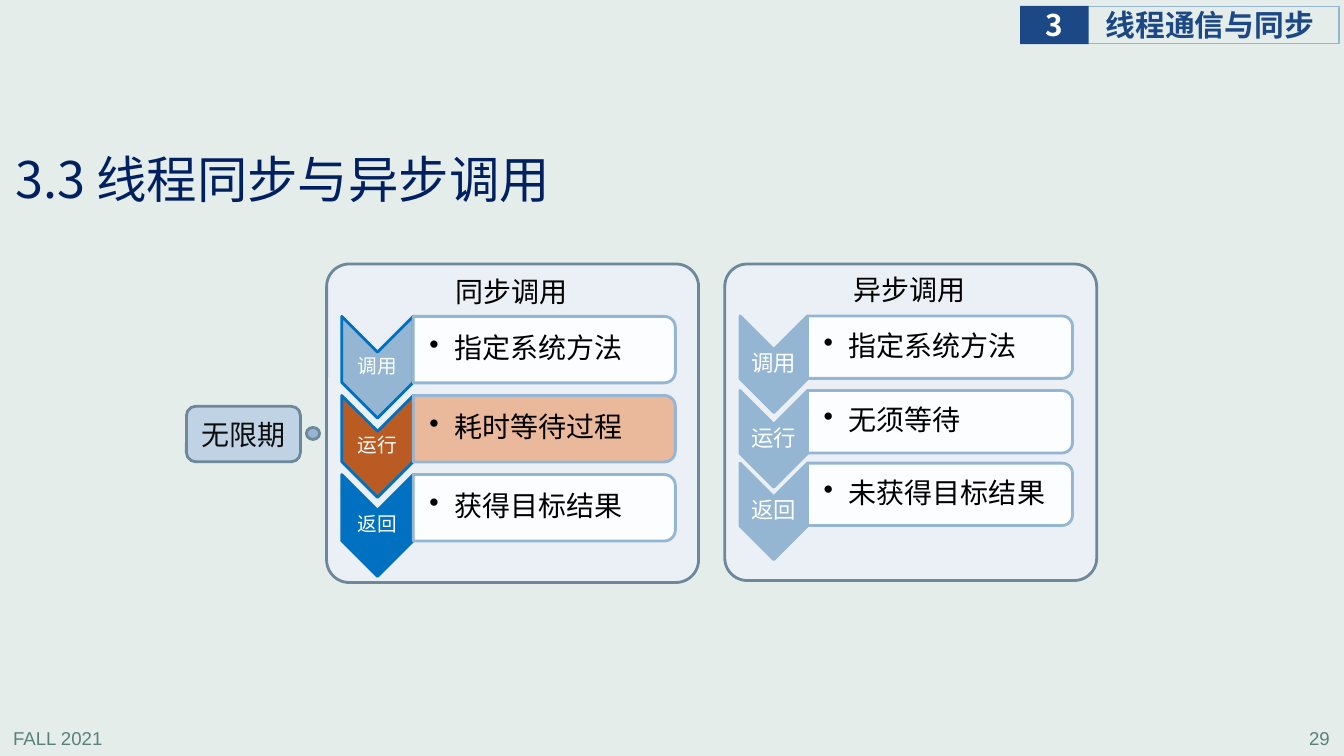
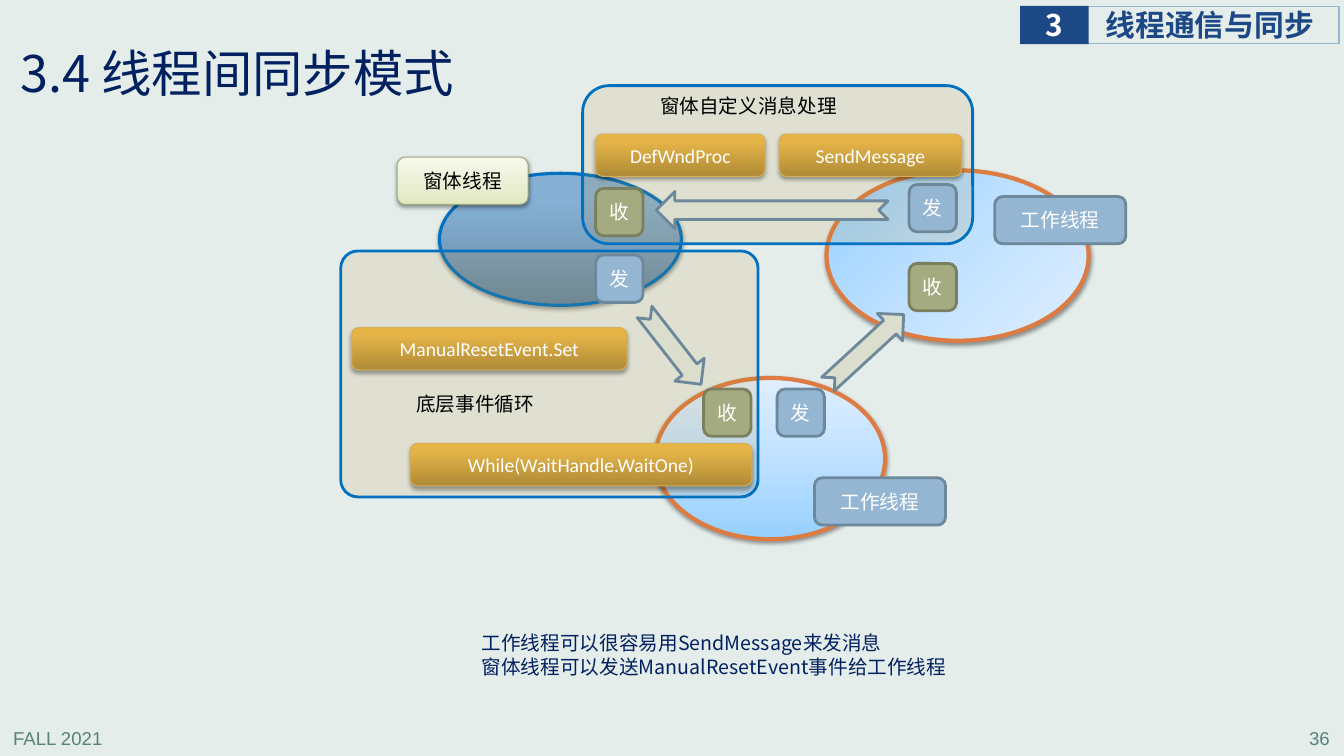
from lxml import etree
from pptx import Presentation
from pptx.dml.color import RGBColor
from pptx.enum import shapes, text
from pptx.oxml import parse_xml
from pptx.oxml.ns import nsdecls, qn
from pptx.util import Pt

SHAPE = shapes.MSO_SHAPE
ROUND = SHAPE.ROUNDED_RECTANGLE
MID = text.MSO_ANCHOR.MIDDLE
LEFT, RIGHT, CENTER = text.PP_ALIGN.LEFT, text.PP_ALIGN.RIGHT, text.PP_ALIGN.CENTER
HAN = "Noto Sans CJK SC"
NAVY, BLUE, SKY, SLATE, WHITE, BLACK = "002060", "1C4885", "94B6D2", "6D879B", "FFFFFF", "000000"

UP = '<a:lin ang="16200000" scaled="0"/>'
SPOT = '<a:path path="circle"><a:fillToRect r="100000" b="100000"/></a:path>'
ICE = [(0, "96D0FF"), (50, "BFE1FF"), (100, "E0EFFF")]
SOFT, DEEP = (38, 1.6), (35, 1.8)

STEEL = dict(fill=SKY, line=SLATE, wide=2)
OLIVE = dict(fill="A5AB81", line="7A7F5F", wide=2)
ARROW = dict(fill="DBDDCD", line=SLATE, wide=2)
PANEL = dict(fill="EAF0F6", line=SLATE, wide=2)
ZONE = dict(fill="BA8F2D", alpha=13, line="0070C0", wide=2)
GOLD = dict(grad=[(0, "AF8A37"), (80, "E3B347"), (100, "E7B544")], line="D6AF57", wide=0.75, shade=DEEP)
CREAM = dict(grad=[(0, "E1E8BF"), (35, "E9EED2"), (100, "F7F9ED")], line="A2A87D", wide=0.75, shade=SOFT)
DUSK = dict(grad=[(0, "6788A4"), (80, "86B1D4"), (100, "86B2D7")], line="0070C0", wide=2.25, shade=DEEP)
LAKE = dict(grad=ICE, line="DC7C42", wide=3, shade=SOFT)
GLOW = dict(LAKE, way=SPOT)

ZERO = dict(margin_left=0, margin_right=0, margin_top=0, margin_bottom=0)
SLIM = dict(dict.fromkeys(ZERO, Pt(0.7)), vertical_anchor=MID)
INSET = dict(SLIM, margin_left=Pt(11.5))
HEAD = dict(margin_left=Pt(5.8), margin_right=Pt(5.8), margin_top=Pt(2.9), margin_bottom=Pt(2.9), vertical_anchor=MID)
FREE = dict(word_wrap=False)
TIGHT = dict(line_spacing=0.9)


def paint(fill, tone):
    if tone:
        fill.solid()
        fill.fore_color.rgb = RGBColor.from_string(tone)
    else:
        fill.background()


def box(page, kind, at, words="", tone=WHITE, size=14, name=HAN, bold=False,
        look={}, frame={}, para={}, side=None, turn=0, adj=None, dot=False):
    at = [Pt(n) for n in at]
    if kind is None:
        item = page.shapes.add_textbox(*at)
        item.text_frame.word_wrap = True
    else:
        item = page.shapes.add_shape(kind, *at)
        item.shadow.inherit = False
        item.rotation = turn
        if adj:
            item.adjustments[0] = adj
        props = item._element.spPr
        paint(item.fill, look.get("fill"))
        if "alpha" in look:
            etree.SubElement(props.find(qn("a:solidFill"))[0], qn("a:alpha"), val=str(look["alpha"] * 1000))
        if "grad" in look:
            item.fill.gradient()
            stops = "".join(f'<a:gs pos="{p * 1000}"><a:srgbClr val="{c}"/></a:gs>' for p, c in look["grad"])
            props.replace(props.find(qn("a:gradFill")), parse_xml(
                f'<a:gradFill {nsdecls("a")} rotWithShape="1"><a:gsLst>{stops}</a:gsLst>{look.get("way", UP)}</a:gradFill>'))
        paint(item.line.fill, look.get("line"))
        if "wide" in look:
            item.line.width = Pt(look["wide"])
        if "shade" in look:
            dense, drop = look["shade"]
            props.find(qn("a:effectLst")).append(parse_xml(
                f'<a:outerShdw {nsdecls("a")} blurRad="{Pt(3.1)}" dist="{Pt(drop)}" dir="5400000" rotWithShape="0">'
                f'<a:srgbClr val="{BLACK}"><a:alpha val="{dense * 1000}"/></a:srgbClr></a:outerShdw>'))
    if not words:
        return
    body = item.text_frame
    for key, val in frame.items():
        setattr(body, key, val)
    body.text = words
    if side is None:
        side = LEFT if kind is None else CENTER
    for par in body.paragraphs:
        for key, val in dict(para, alignment=side).items():
            setattr(par, key, val)
        if dot:
            form = par._p.get_or_add_pPr()
            form.set("marL", str(Pt(18)))
            form.set("indent", str(Pt(-18)))
            etree.SubElement(form, qn("a:buChar"), char="•")
        for run in par.runs:
            for key, val in dict(name=name, size=Pt(size), bold=bold).items():
                setattr(run.font, key, val)
            paint(run.font.fill, tone)
            if name != "Arial":
                run.font._element.find(qn("a:latin")).addnext(
                    parse_xml(f'<a:ea {nsdecls("a")} typeface="{HAN}"/>'))


deck = Presentation()
deck.slide_width, deck.slide_height = Pt(960), Pt(540)
paint(deck.slide_master.background.fill, "E5EDEB")

pages = []
for num, title, spot in [
    ("29", "3.3 线程同步与异步调用", (5, 102.2, 447, 56.2)),
    ("36", "3.4 线程间同步模式", (8.6, 28, 343.4, 53.3)),
]:
    page = deck.slides.add_slide(deck.slide_layouts[6])
    pages.append(page)
    for left, words, side in [(2.2, "FALL 2021", LEFT), (756.7, num, RIGHT)]:
        box(page, None, (left, 515.5, 200.2, 22.3), words, "578279", 13.3, "Arial", side=side)
    box(page, SHAPE.RECTANGLE, (776.5, 4.8, 180, 26), " 线程通信与同步", BLUE, 21.3, bold=True,
        look=dict(line=SKY, wide=0.75), frame=dict(ZERO, margin_left=Pt(8.6)), side=LEFT)
    box(page, SHAPE.RECTANGLE, (728.6, 4.3, 49, 27.2), "3", WHITE, 21.3, bold=True,
        look=dict(fill=BLUE), frame=dict(ZERO, **FREE))
    if num == "29":
        box(page, None, spot, title, NAVY, 36, frame=HEAD, para=TIGHT)

calls, modes = pages

for panel, name, label, left, wide, high, tops, card, edge, size, font, rows in [
    ((517.7, 188.6, 265.7, 226.1), "异步调用", (602.6, 190.8), 528.6, 48.2, 69, (225.7, 279, 330.8),
     (189.3, 44.6), SKY, 16, "Calibri",
     [("调用", "指定系统方法", SKY, WHITE), ("运行", "无须等待", SKY, WHITE), ("返回", "未获得目标结果", SKY, WHITE)]),
    ((233.3, 188.6, 265.7, 227.5), "同步调用", (318.2, 192.2), 244.1, 51.1, 72.7, (226, 282.5, 339),
     (187.2, 47.5), "0070C0", 14, HAN,
     [("调用", "指定系统方法", SKY, WHITE), ("运行", "耗时等待过程", "B95B22", "EBB391"),
      ("返回", "获得目标结果", "0070C0", WHITE)]),
]:
    box(calls, ROUND, panel, look=PANEL, adj=0.071)
    for top, (step, words, tint, back) in zip(tops, rows):
        swing = (high - wide) / 2
        box(calls, SHAPE.CHEVRON, (left - swing, top + swing, high, wide), turn=90,
            look=dict(fill=tint, line=edge, wide=2))
        box(calls, None, (left, top + high / 2 - 10.5, wide, 21), step, WHITE, size, font,
            frame=SLIM, para=TIGHT, side=CENTER)
        long, tall = card
        swing = (long - tall) / 2
        box(calls, SHAPE.ROUND_2_SAME_RECTANGLE, (left + wide + swing, top - swing, tall, long), turn=90,
            look=dict(fill=back, alpha=90, line=SKY, wide=2))
        box(calls, None, (left + wide, top + 2, long - 2, tall - 4), words, BLACK, 20,
            frame=INSET, para=TIGHT, dot=True)
    box(calls, None, (*label, 95, 31.7), name, BLACK, 20, frame=FREE)
box(calls, ROUND, (133.2, 290.2, 81.4, 39.6), "无限期", "0D0D0D", 20, look=dict(PANEL, fill="BFD3E4"))
box(calls, SHAPE.OVAL, (218.9, 305.3, 9.4, 8.6), look=STEEL)

for kind, at, look, adj in [
    (SHAPE.OVAL, (468, 270, 164.2, 115.2), LAKE, None),
    (SHAPE.OVAL, (313.9, 123.8, 172.8, 94.3), DUSK, None),
    (ROUND, (243.4, 179.3, 298.1, 175.7), ZONE, 0.07),
    (SHAPE.OVAL, (590.4, 121.7, 187.2, 121.7), GLOW, None),
    (ROUND, (416.2, 61.2, 278.6, 113), ZONE, None),
]:
    box(modes, kind, at, look=look, adj=adj)
box(modes, None, spot, title, NAVY, 36, frame=HEAD, para=TIGHT)

for at, turn in [
    ((468.7, 136.8, 165.6, 26.6), 180),
    ((581.8, 236.2, 73.4, 26.6), 317.4),
    ((447.8, 235.4, 65.5, 26.6), 52),
]:
    box(modes, SHAPE.NOTCHED_RIGHT_ARROW, at, look=ARROW, turn=turn)

for left, top, wide, words in [
    (556.6, 95.8, 130.3, "SendMessage"),
    (425.5, 95.8, 121, "DefWndProc"),
    (251.3, 234, 196.6, "ManualResetEvent.Set"),
    (293, 316.8, 244.1, "While(WaitHandle.WaitOne)"),
]:
    box(modes, ROUND, (left, top, wide, 30.2), words, name="Calibri", look=GOLD)

for left, top, words, look, tone in [
    (710.6, 140.4, "工作线程", STEEL, WHITE),
    (581.8, 341.3, "工作线程", STEEL, WHITE),
    (283.7, 112.3, "窗体线程", CREAM, BLACK),
]:
    box(modes, ROUND, (left, top, 93.6, 33.8), words, tone, look=look)

for words, look, spots in [
    ("发", STEEL, [(649.4, 131.8), (555.1, 277.9), (425.5, 182.2)]),
    ("收", OLIVE, [(425.5, 134.6), (649.4, 188.2), (502.6, 277.9)]),
]:
    for spot in spots:
        box(modes, ROUND, (*spot, 33.8, 33.8), words, look=look)

box(modes, None, (464.4, 63.4, 177.8, 28.8), "窗体自定义消息处理", BLACK, frame=FREE)
box(modes, None, (290.2, 276.5, 124.6, 28.8), "底层事件循环", BLACK)
box(modes, None, (337, 447.1, 355.7, 41),
    "工作线程可以很容易用SendMessage来发消息\n窗体线程可以发送ManualResetEvent事件给工作线程", NAVY, frame=FREE)

deck.save("out.pptx")
